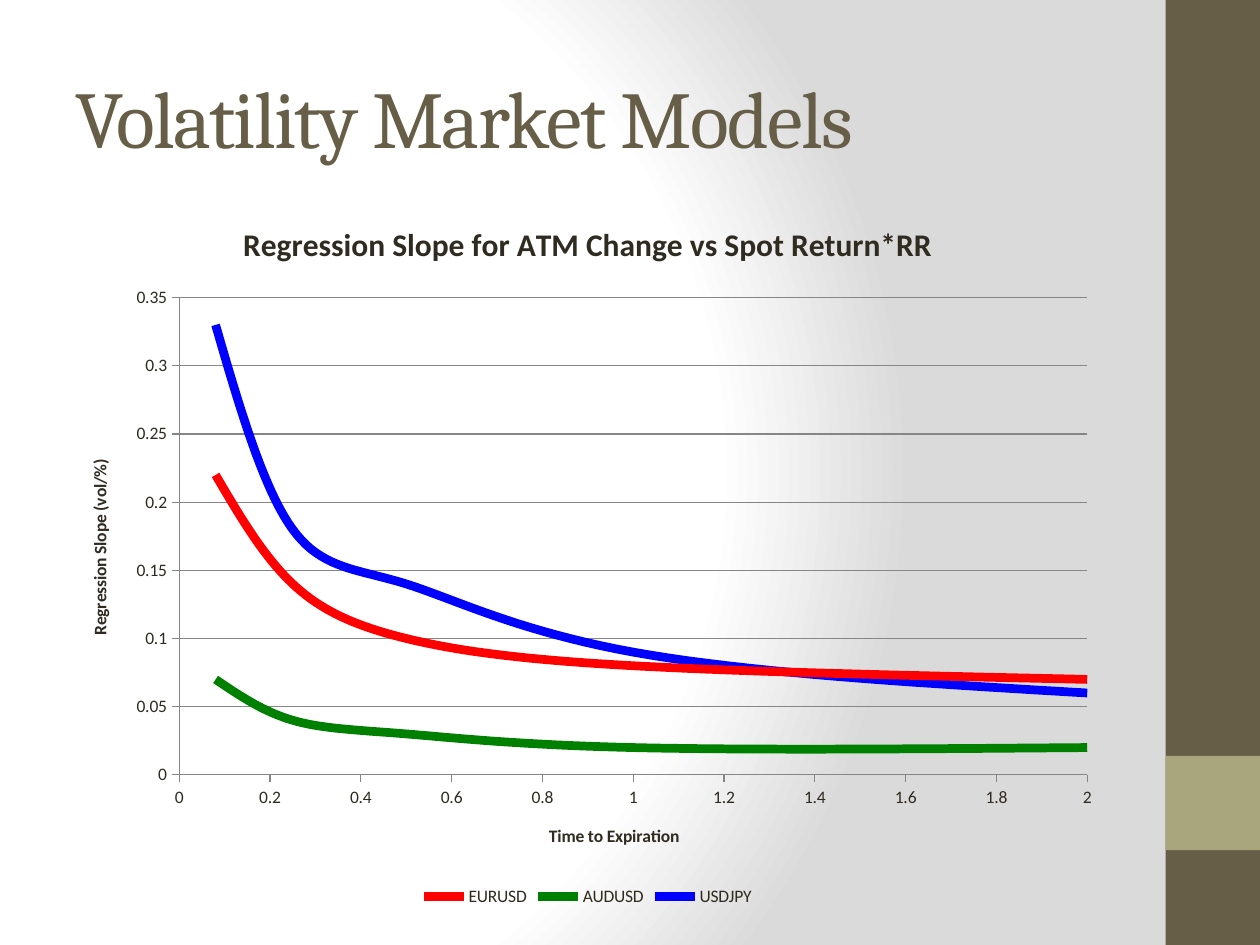
from pptx import Presentation
from pptx.chart.data import XyChartData
from pptx.dml.color import RGBColor
from pptx.enum.chart import XL_CHART_TYPE, XL_LEGEND_POSITION, XL_TICK_LABEL_POSITION, XL_TICK_MARK
from pptx.enum.shapes import MSO_SHAPE
from pptx.enum.text import MSO_ANCHOR
from pptx.oxml import parse_xml
from pptx.oxml.ns import nsdecls
from pptx.util import Cm, Pt

SMOOTH = XL_CHART_TYPE.XY_SCATTER_SMOOTH_NO_MARKERS
BOTTOM = XL_LEGEND_POSITION.BOTTOM
LOW = XL_TICK_LABEL_POSITION.LOW
OUTSIDE, NO_TICK = XL_TICK_MARK.OUTSIDE, XL_TICK_MARK.NONE
RECTANGLE = MSO_SHAPE.RECTANGLE
MIDDLE = MSO_ANCHOR.MIDDLE

COLORS = {"brown": "675E47", "olive": "A9A57C", "ink": "2F2B20", "grid": "868686",
          "white": "FFFFFF", "gray": "DADADA",
          "red": "FF0000", "green": "008000", "blue": "0000FF"}

TITLE = "Volatility Market Models"
CHART_TITLE = "Regression Slope for ATM Change vs Spot Return*RR"
EXPIRATIONS = [0.08, 0.25, 0.5, 1, 2]
SERIES = [
    ("EURUSD", "red", [0.22, 0.14, 0.1, 0.08, 0.07]),
    ("AUDUSD", "green", [0.07, 0.04, 0.03, 0.02, 0.02]),
    ("USDJPY", "blue", [0.33, 0.18, 0.14, 0.09, 0.06]),
]
AXES = [  # chart attribute, title, maximum, step
    ("category_axis", "Time to Expiration", 2, 0.2),
    ("value_axis", "Regression Slope (vol/%)", 0.35, 0.05),
]

PAGE_WIDTH, PAGE_HEIGHT = 25.4, 19.05
BAR_LEFT, BAR_WIDTH = 23.5, 1.9
BARS = [("brown", 0, PAGE_HEIGHT), ("olive", 15.24, 1.9)]
LEFT, WIDTH = 1.27, 21.16


def color(name):
    """Return a named colour."""
    return RGBColor.from_string(COLORS[name])


def style(font, tint, **values):
    """Set font attributes and colour."""
    for name, value in values.items():
        setattr(font, name, value)
    font.color.rgb = color(tint)


def add_background(page):
    """Give the page its radial gradient."""
    stops = "".join(
        f'<a:gs pos="{percent * 1000}"><a:srgbClr val="{COLORS[name]}"/></a:gs>'
        for percent, name in [(0, "white"), (75, "white"), (100, "gray")])
    page.element.cSld.insert(0, parse_xml(
        f'<p:bg {nsdecls("p", "a")}><p:bgPr><a:gradFill rotWithShape="1">'
        f'<a:gsLst>{stops}</a:gsLst><a:path path="circle">'
        '<a:fillToRect l="20000" t="50000" r="100000" b="50000"/></a:path>'
        '</a:gradFill><a:effectLst/></p:bgPr></p:bg>'))


def add_bars(page):
    """Draw the side bar and its accent."""
    for tint, top, height in BARS:
        bar = page.shapes.add_shape(RECTANGLE, Cm(BAR_LEFT), Cm(top), Cm(BAR_WIDTH), Cm(height))
        bar.shadow.inherit = False
        bar.fill.solid()
        bar.fill.fore_color.rgb = color(tint)
        bar.line.fill.background()


def add_title(page):
    """Write the page title."""
    box = page.shapes.add_textbox(Cm(LEFT), Cm(0.76), Cm(WIDTH), Cm(3.18))
    frame = box.text_frame
    frame.word_wrap = True
    frame.vertical_anchor = MIDDLE
    span = frame.paragraphs[0].add_run()
    span.text = TITLE
    style(span.font, "brown", name="Cambria", size=Pt(46))
    span.font._element.set("spc", "-100")


def write_heading(heading, text, size):
    """Write a chart or axis title in bold."""
    heading.text_frame.text = text
    span = heading.text_frame.paragraphs[0].runs[0]
    style(span.font, "ink", name="Calibri", size=Pt(size), bold=True)


def style_line(line, tint, width):
    """Set the colour and width of a line."""
    line.color.rgb = color(tint)
    line.width = Pt(width)


def format_axis(axis, title, maximum, step):
    """Set scale, ticks, line and title of an axis."""
    settings = {"minimum_scale": 0, "maximum_scale": maximum, "major_unit": step,
                "major_tick_mark": OUTSIDE, "minor_tick_mark": NO_TICK,
                "tick_label_position": LOW}
    for name, value in settings.items():
        setattr(axis, name, value)
    axis.tick_labels.number_format = "General"
    axis.tick_labels.number_format_is_linked = False
    style_line(axis.format.line, "grid", 0.75)
    write_heading(axis.axis_title, title, 10)


def smooth_curve(series):
    """Turn on smoothing, which scatter series lack as a property."""
    element = series._element
    for old in element.findall("{*}smooth"):
        element.remove(old)
    element.append(parse_xml(f'<c:smooth {nsdecls("c")} val="1"/>'))


def add_slope_chart(page):
    """Draw the regression slope curves."""
    data = XyChartData()
    for name, _, slopes in SERIES:
        series = data.add_series(name)
        for expiration, slope in zip(EXPIRATIONS, slopes):
            series.add_data_point(expiration, slope)
    chart = page.shapes.add_chart(
        SMOOTH, Cm(LEFT), Cm(3.94), Cm(WIDTH), Cm(14.43), data).chart
    style(chart.font, "ink", name="Calibri", size=Pt(10))
    write_heading(chart.chart_title, CHART_TITLE, 18)
    chart.chart_title.include_in_layout = False
    chart.has_legend = True
    chart.legend.position = BOTTOM
    chart.legend.include_in_layout = False

    for attribute, *settings in AXES:
        format_axis(getattr(chart, attribute), *settings)
    chart.category_axis.has_major_gridlines = False
    chart.value_axis.has_major_gridlines = True
    style_line(chart.value_axis.major_gridlines.format.line, "grid", 0.75)

    plot = chart.plots[0]
    plot.vary_by_categories = False
    for series, (_, tint, _) in zip(plot.series, SERIES):
        style_line(series.format.line, tint, 5)
        smooth_curve(series)


deck = Presentation()
deck.slide_width, deck.slide_height = Cm(PAGE_WIDTH), Cm(PAGE_HEIGHT)
page = deck.slides.add_slide(deck.slide_layouts[6])
add_background(page)
add_bars(page)
add_title(page)
add_slope_chart(page)
deck.save("out.pptx")
